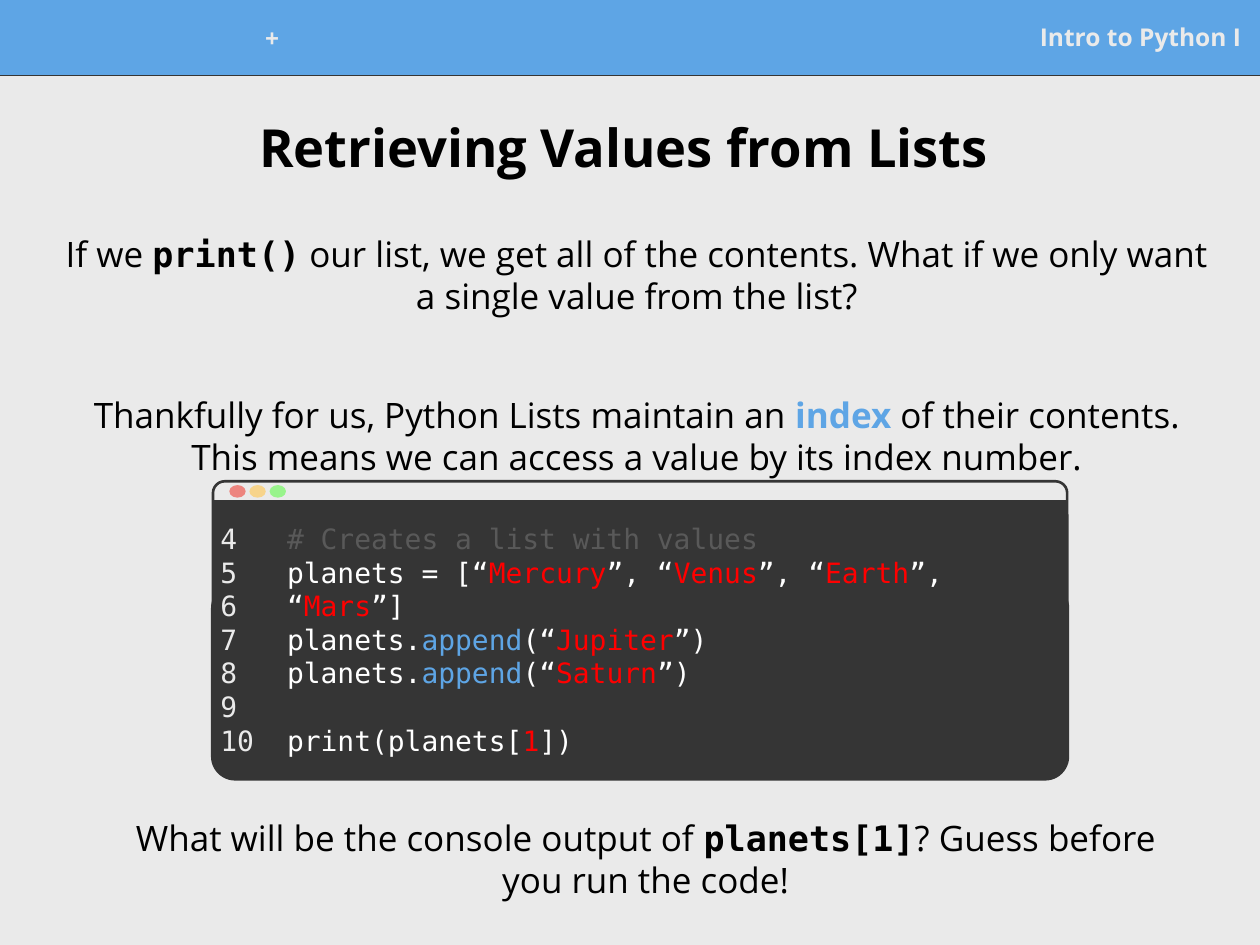
"""Build the slide on retrieving values from Python lists."""
from pptx import Presentation
from pptx.dml.color import RGBColor
from pptx.enum.shapes import MSO_CONNECTOR, MSO_SHAPE
from pptx.enum.text import MSO_ANCHOR, PP_ALIGN
from pptx.oxml.ns import qn
from pptx.util import Inches, Pt
from lxml import etree

LEFT, CENTER, RIGHT = PP_ALIGN.LEFT, PP_ALIGN.CENTER, PP_ALIGN.RIGHT
TOP, MIDDLE = MSO_ANCHOR.TOP, MSO_ANCHOR.MIDDLE
RECTANGLE, ROUNDED, OVAL = MSO_SHAPE.RECTANGLE, MSO_SHAPE.ROUNDED_RECTANGLE, MSO_SHAPE.OVAL
SANS, MONO = "Open Sans", "DejaVu Sans Mono"
COLORS = {
    "paper": "EAEAEA", "blue": "5EA5E5", "dark": "353535", "black": "000000",
    "white": "FFFFFF", "red": "FF0000", "comment": "595959",
    "close": "ED857F", "minimize": "F7D48B", "zoom": "99F48C",
}


def add_shape(parent, kind, box, fill=None, line=None, width=0.75, radius=None):
    shape = parent.shapes.add_shape(kind, *map(Inches, box))
    shape.shadow.inherit = False
    if radius is not None:
        shape.adjustments[0] = radius
    if fill:
        shape.fill.solid()
        shape.fill.fore_color.rgb = RGBColor.from_string(COLORS[fill])
    else:
        shape.fill.background()
    if line:
        shape.line.color.rgb = RGBColor.from_string(COLORS[line])
        shape.line.width = Pt(width)
    else:
        shape.line.fill.background()


def add_text(box, paragraphs, size, align=CENTER, anchor=MIDDLE, gaps={}):
    frame = slide.shapes.add_textbox(*map(Inches, box)).text_frame
    frame.word_wrap = True
    frame.vertical_anchor = anchor
    frame.margin_left = frame.margin_right = Inches(0.1)
    frame.margin_top = frame.margin_bottom = Inches(0.1)
    for index, runs in enumerate(paragraphs):
        paragraph = frame.add_paragraph() if index else frame.paragraphs[0]
        paragraph.alignment = align
        paragraph.line_spacing = Pt(size * 1.2)
        if index in gaps:
            paragraph.space_before = Pt(gaps[index])
        for text, color, font, bold in runs:
            run = paragraph.add_run()
            run.text = text
            run.font.name = font
            run.font.size = Pt(size)
            run.font.bold = bold
            run.font.color.rgb = RGBColor.from_string(COLORS[color])


presentation = Presentation()
presentation.slide_width = Inches(10)
presentation.slide_height = Inches(7.5)
slide = presentation.slides.add_slide(presentation.slide_layouts[6])
slide.background.fill.solid()
slide.background.fill.fore_color.rgb = RGBColor.from_string(COLORS["paper"])

header_rule = slide.shapes.add_connector(
    MSO_CONNECTOR.STRAIGHT, 0, Inches(0.59), Inches(10), Inches(0.59))
header_rule.line.color.rgb = RGBColor.from_string(COLORS["dark"])
header_rule.line.width = Pt(1.5)
etree.SubElement(header_rule._element.spPr, qn("a:effectLst"))
add_shape(slide, RECTANGLE, (0, 0, 10, 0.59), "blue", "blue")
add_text((6.24, 0.1, 3.71, 0.38), [[("Intro to Python I", "paper", SANS, True)]], 14, RIGHT)
add_text((1.86, 0.11, 0.6, 0.38), [[("+", "paper", SANS, True)]], 14)
add_text((0.18, 0.71, 9.65, 0.9),
         [[("Retrieving Values from Lists ", "black", SANS, True)]], 30)

explanation = [
    [("If we ", "black", SANS, False),
     ("print()", "black", MONO, True),
     (" our list, we get all of the contents. What if we only want a single value "
      "from the list?", "black", SANS, False)],
    [("Thankfully for us, Python Lists maintain an ", "black", SANS, False),
     ("index", "blue", SANS, True),
     (" of their contents. This means we can access a value by its index number.",
      "black", SANS, False)],
]
add_text((0.41, 1.83, 9.29, 1.97), explanation, 20, gaps={1: 44})

question = [
    ("What will be the console output of ", "black", SANS, False),
    ("planets[1]", "black", MONO, True),
    ("? Guess before you run the code!", "black", SANS, False),
]
add_text((0.82, 5.83, 8.61, 1.97), [question], 20)

window = slide.shapes.add_group_shape()
add_shape(window, ROUNDED, (1.69, 3.82, 6.78, 1.7), None, "dark", 1.5, 0.055)
add_shape(window, RECTANGLE, (1.69, 3.97, 6.78, 2.03), "dark")
add_shape(window, ROUNDED, (1.69, 4.65, 6.78, 1.53), "dark", "dark", 2.25, 0.115)
for index, button in enumerate(("close", "minimize", "zoom")):
    add_shape(window, OVAL, (1.82 + 0.16 * index, 3.85, 0.13, 0.1), button)

line_numbers = [[(str(number), "paper", MONO, False)] for number in range(4, 11)]
add_text((1.65, 4.04, 0.62, 2.07), line_numbers, 16, LEFT, TOP)

list_tokens = [("planets = [“", "white")]
for planet, ending in (("Mercury", "”, “"), ("Venus", "”, “"), ("Earth", "”, “"), ("Mars", "”]")):
    list_tokens += [(planet, "red"), (ending, "white")]
code_lines = [[("# Creates a list with values", "comment")], list_tokens]
for planet in ("Jupiter", "Saturn"):
    code_lines.append([("planets.", "white"), ("append", "blue"), ("(“", "white"),
                       (planet, "red"), ("”)", "white")])
code_lines.append([("print(planets[", "white"), ("1", "red"), ("])", "white")])
code = [[(text, color, MONO, False) for text, color in tokens] for tokens in code_lines]
add_text((2.18, 4.04, 6.29, 1.64), code, 16, LEFT, TOP, {4: 19.2})

presentation.save("out.pptx")
